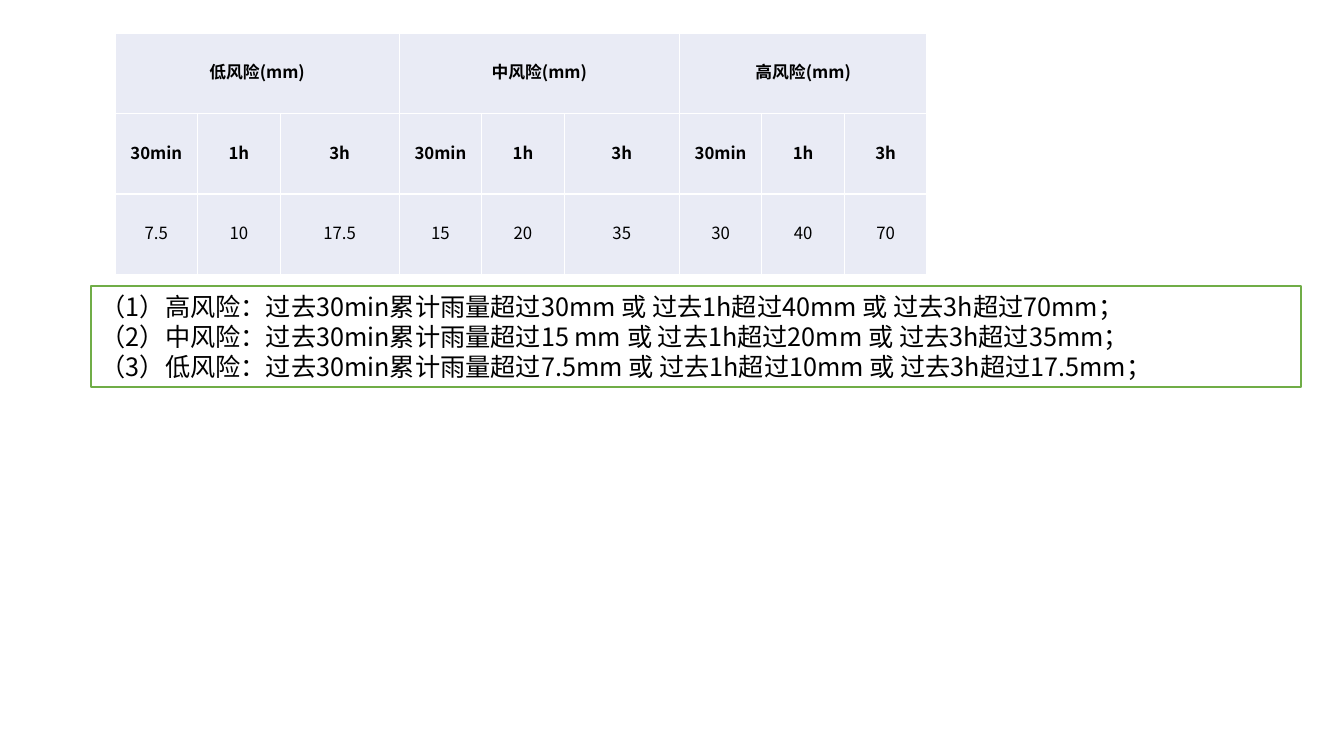
from lxml.etree import SubElement
from pptx import Presentation
from pptx.dml.color import RGBColor
from pptx.enum.shapes import MSO_SHAPE
from pptx.enum.text import MSO_ANCHOR, PP_ALIGN
from pptx.oxml.ns import qn
from pptx.util import Cm, Pt

# Content
RISK_LEVELS = ["低风险(mm)", "中风险(mm)", "高风险(mm)"]
DURATIONS = ["30min", "1h", "3h"]
THRESHOLDS = ["7.5", "10", "17.5", "15", "20", "35", "30", "40", "70"]
RULES = [
    "（1）高风险：过去30min累计雨量超过30mm 或 过去1h超过40mm 或 过去3h超过70mm；",
    "（2）中风险：过去30min累计雨量超过15 mm 或 过去1h超过20mm 或 过去3h超过35mm；",
    "（3）低风险：过去30min累计雨量超过7.5mm 或 过去1h超过10mm 或 过去3h超过17.5mm；",
]

# Style
FONT = "Noto Sans CJK SC"
BLACK = RGBColor(0x00, 0x00, 0x00)
WHITE = RGBColor(0xFF, 0xFF, 0xFF)
CELL_FILL = RGBColor(0xE9, 0xEB, 0xF5)
GREEN = RGBColor(0x70, 0xAD, 0x47)

# Layout in centimetres
COLUMN_WIDTHS = [2.08, 2.08, 3, 2.08, 2.08, 2.9, 2.08, 2.08, 2.08]
ROW_HEIGHT = 2.03


def format_runs(paragraph, size, bold=False):
    for run in paragraph.runs:
        run.font.size = Pt(size)
        run.font.bold = bold
        run.font.name = FONT
        run.font.color.rgb = BLACK
        SubElement(run.font._element, qn("a:ea"), typeface=FONT)


def add_borders(cell):
    properties = cell._tc.get_or_add_tcPr()
    for side in ("a:lnL", "a:lnR", "a:lnT", "a:lnB"):
        line = SubElement(properties, qn(side), w=str(Pt(1)))
        fill = SubElement(line, qn("a:solidFill"))
        SubElement(fill, qn("a:srgbClr"), val=str(WHITE))


def format_cell(cell, bold):
    add_borders(cell)
    cell.fill.solid()
    cell.fill.fore_color.rgb = CELL_FILL
    cell.vertical_anchor = MSO_ANCHOR.MIDDLE
    cell.margin_left = cell.margin_right = cell.margin_top = Cm(0.03)
    cell.margin_bottom = Cm(0.13)
    paragraph = cell.text_frame.paragraphs[0]
    paragraph.alignment = PP_ALIGN.CENTER
    format_runs(paragraph, 12, bold)


def add_threshold_table(slide):
    group = len(DURATIONS)
    header = [""] * len(THRESHOLDS)
    header[::group] = RISK_LEVELS
    rows = [header, DURATIONS * len(RISK_LEVELS), THRESHOLDS]
    table = slide.shapes.add_table(
        len(rows), len(THRESHOLDS), Cm(2.9), Cm(0.83),
        Cm(sum(COLUMN_WIDTHS)), Cm(ROW_HEIGHT * len(rows))).table
    table.first_row = table.horz_banding = False
    for column, width in zip(table.columns, COLUMN_WIDTHS):
        column.width = Cm(width)
    for row_index, texts in enumerate(rows):
        table.rows[row_index].height = Cm(ROW_HEIGHT)
        for column_index, text in enumerate(texts):
            cell = table.cell(row_index, column_index)
            cell.text_frame.text = text
            format_cell(cell, bold=row_index < 2)
    # Each risk level spans its durations
    for start in range(0, len(THRESHOLDS), group):
        table.cell(0, start).merge(table.cell(0, start + group - 1))


def add_rule_box(slide):
    shape = slide.shapes.add_shape(
        MSO_SHAPE.RECTANGLE, Cm(2.29), Cm(7.21), Cm(30.5), Cm(2.54))
    shape.shadow.inherit = False
    shape.fill.solid()
    shape.fill.fore_color.rgb = WHITE
    shape.line.color.rgb = GREEN
    shape.line.width = Pt(1)
    text_frame = shape.text_frame
    text_frame.word_wrap = True
    text_frame.vertical_anchor = MSO_ANCHOR.TOP
    text_frame.text = "\n".join(RULES)
    for paragraph in text_frame.paragraphs:
        paragraph.alignment = PP_ALIGN.LEFT
        paragraph.line_spacing = Pt(21.5)
        format_runs(paragraph, 18)


def main():
    presentation = Presentation()
    presentation.slide_width = Cm(33.87)
    presentation.slide_height = Cm(19.05)
    slide = presentation.slides.add_slide(presentation.slide_layouts[6])
    add_threshold_table(slide)
    add_rule_box(slide)
    presentation.save("out.pptx")


if __name__ == "__main__":
    main()
